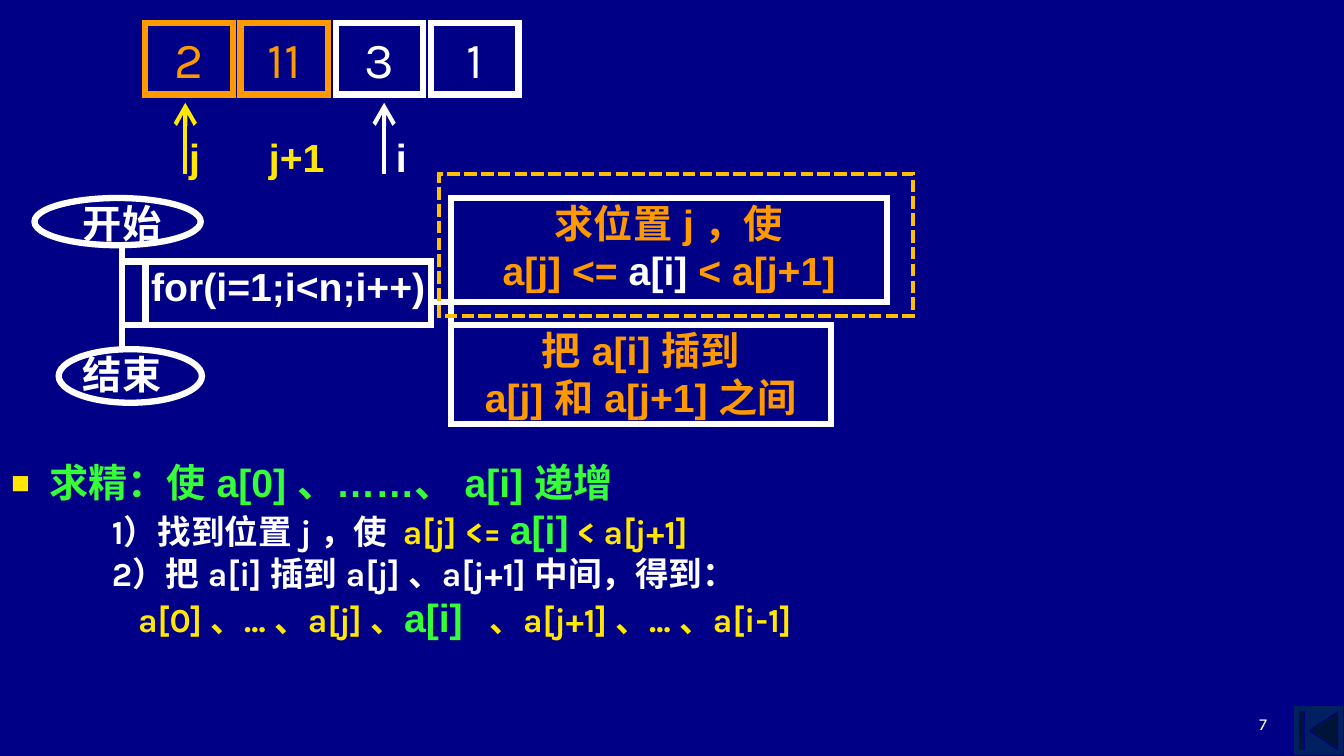
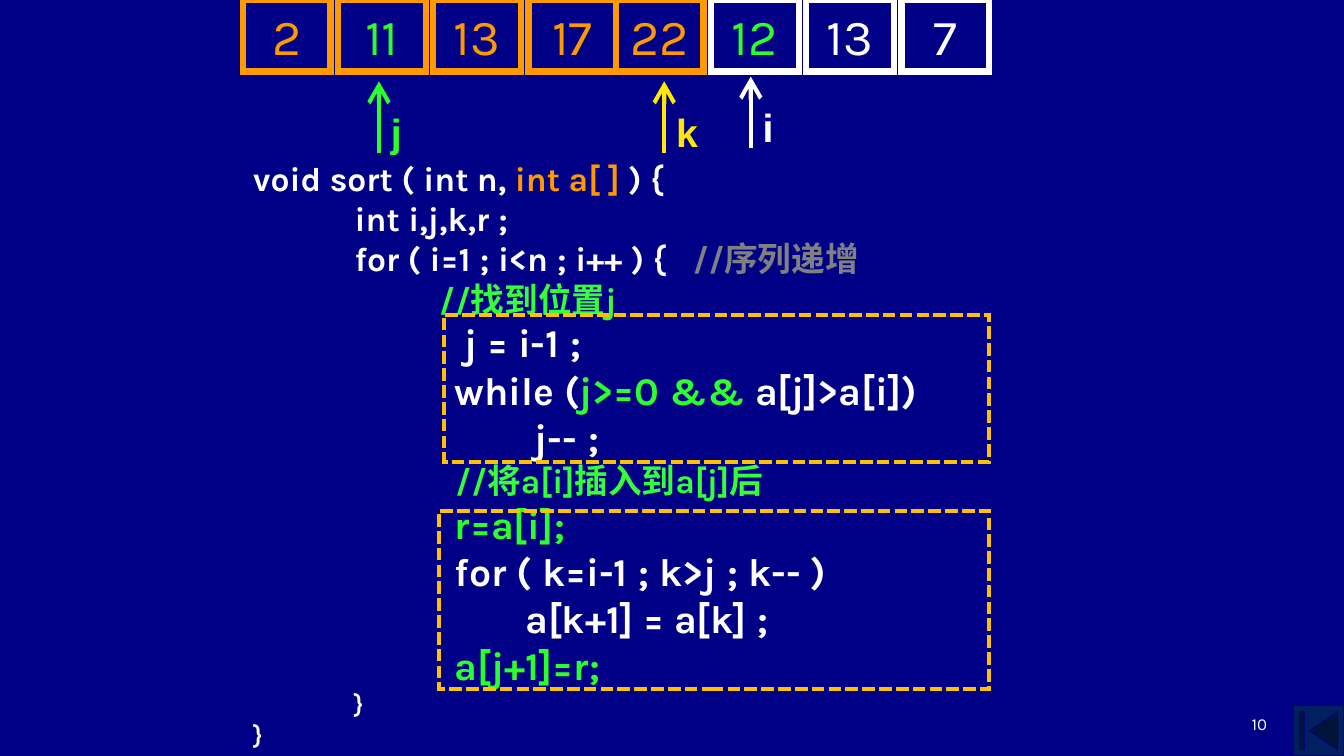
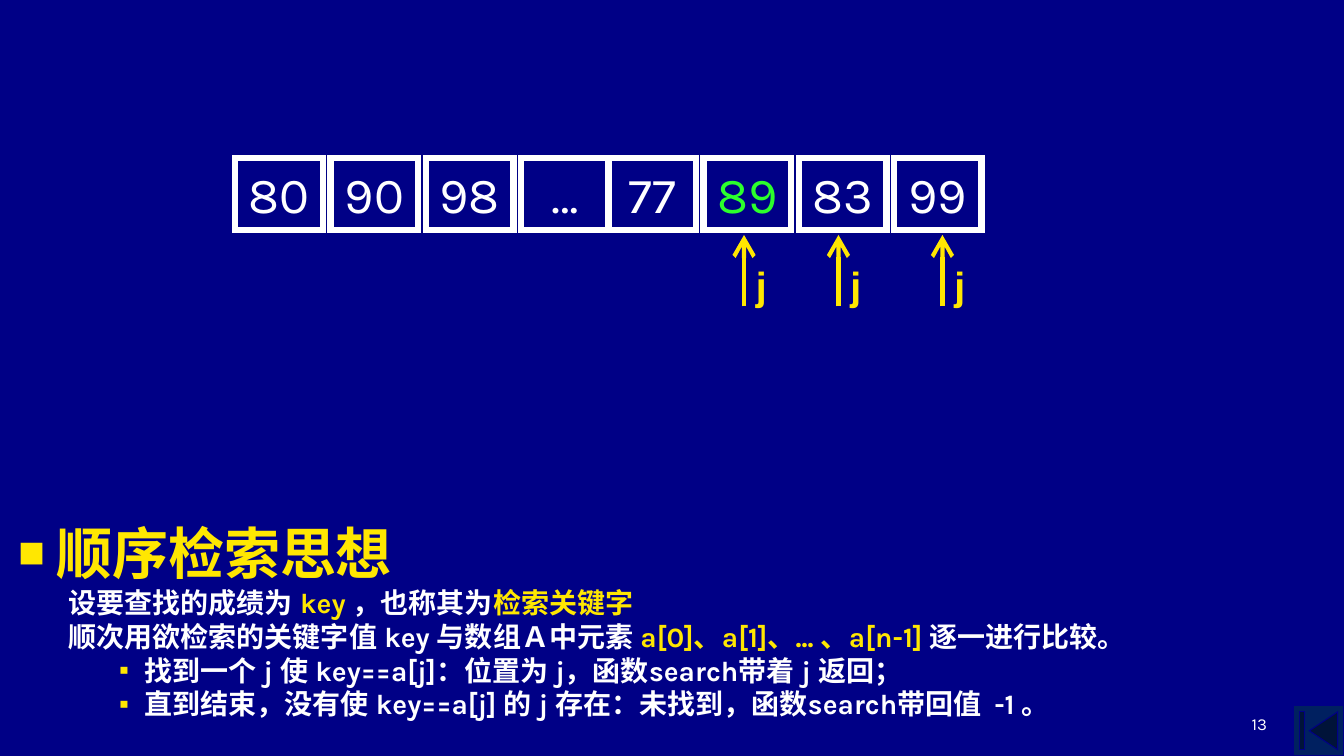
from lxml import etree
from pptx import Presentation
from pptx import util as u
from pptx.dml.color import RGBColor
from pptx.enum import dml, lang, shapes, text
from pptx.oxml import ns

NAVY, WHITE, YELLOW, ORANGE = "000086", "FFFFFF", "FFE701", "FF9900"
LIME, GREEN, GOLD, GREY = "37FF37", "2CFF2C", "FFC000", "808080"
HEAVY, LIGHT = 4.5, 3
CELL_W, CELL_H, STEP, GROUP = 2.21, 1.8, 2.4, 9.4
S = shapes.MSO_SHAPE
A = text.PP_ALIGN


def rgb(code):
    return RGBColor.from_string(code)


def sub(node, tag, **attrs):
    return etree.SubElement(node, ns.qn(tag), attrs)


def para(*runs, **fmt):
    return runs, fmt


def mark(par, left=0, hang=0, bullet=None, tint=YELLOW, scale=100):
    props = par._p.get_or_add_pPr()
    props.set("marL", str(u.Cm(left)))
    props.set("indent", str(-u.Cm(hang)))
    if bullet:
        sub(sub(props, "a:buClr"), "a:srgbClr", val=tint)
        sub(props, "a:buSzPct", val=str(scale * 1000))
        sub(props, "a:buFont", typeface="Arial")
        sub(props, "a:buChar", char=bullet)


def write(shape, *paras, size=28, font="Arial", color=WHITE, bold=True,
          align=A.LEFT, wrap=True, inset=(0.25, 0.13),
          anchor=text.MSO_ANCHOR.TOP):
    frame = shape.text_frame
    frame.word_wrap = wrap
    frame.vertical_anchor = anchor
    frame.margin_left = frame.margin_right = u.Cm(inset[0])
    frame.margin_top = frame.margin_bottom = u.Cm(inset[1])
    base = dict(size=size, font=font, color=color, bold=bold, track=0)
    for num, (runs, fmt) in enumerate(paras):
        par = frame.paragraphs[0] if num == 0 else frame.add_paragraph()
        look = {key: val for key, val in fmt.items() if key in base}
        mark(par, **{key: val for key, val in fmt.items() if key not in base})
        par.alignment = align
        for item in runs:
            words, own = (item, {}) if isinstance(item, str) else item
            style = {**base, **look, **own}
            run = par.add_run()
            run.text = words
            run.font.size = u.Pt(style["size"])
            run.font.bold = style["bold"]
            run.font.color.rgb = rgb(style["color"])
            run.font.name = style["font"]
            run.font.language_id = lang.MSO_LANGUAGE_ID.SIMPLIFIED_CHINESE
            sub(run.font._element, "a:ea", typeface=style["font"])
            if style["track"]:
                run.font._element.set("spc", str(style["track"] * 100))


def hue(words, color, **fmt):
    return words, dict(color=color, **fmt)


def gap(points):
    return " ", dict(track=points)


def label(slide, x, y, w, h, *paras, **fmt):
    box = slide.shapes.add_textbox(u.Cm(x), u.Cm(y), u.Cm(w), u.Cm(h))
    write(box, *paras, **fmt)


def stroke(pen, color, width, arrow=False):
    pen.color.rgb = rgb(color)
    pen.width = u.Pt(width)
    node = pen._get_or_add_ln()
    sub(node, "a:miter", lim="800000")
    if arrow:
        sub(node, "a:tailEnd", type="arrow", w="lg", len="lg")


def outline(slide, kind, x, y, w, h, color=WHITE, width=HEAVY, fill=None):
    shape = slide.shapes.add_shape(kind, u.Cm(x), u.Cm(y), u.Cm(w), u.Cm(h))
    shape.shadow.inherit = False
    if fill:
        shape.fill.solid()
        shape.fill.fore_color.rgb = rgb(fill)
    else:
        shape.fill.background()
    stroke(shape.line, color, width)
    return shape


def dashed(slide, x, y, w, h):
    frame = outline(slide, S.RECTANGLE, x, y, w, h, GOLD, LIGHT)
    frame.line.dash_style = dml.MSO_LINE.SQUARE_DOT


def line(slide, x1, y1, x2, y2, color=WHITE, width=HEAVY, arrow=False):
    link = slide.shapes.add_connector(
        shapes.MSO_CONNECTOR.STRAIGHT, u.Cm(x1), u.Cm(y1), u.Cm(x2), u.Cm(y2))
    stroke(link.line, color, width, arrow)
    sub(link._element.spPr, "a:effectLst")


def array(slide, x, y, cells):
    for num, (value, edge, ink) in enumerate(cells):
        group, spot = divmod(num, 4)
        left = x + group * GROUP + spot * STEP
        cell = outline(slide, S.RECTANGLE, left, y, CELL_W, CELL_H, edge)
        write(cell, para(value), size=36, font="Karla", color=ink, bold=False,
              align=A.CENTER, wrap=False, inset=(0.1, 0.13))


def pointer(slide, x, y, name, color, shift=0.3, drop=0.67):
    line(slide, x, y + 1.8, x, y, color, LIGHT, arrow=True)
    label(slide, x + shift, y + drop, 1.5, 1.1, para(name), color=color,
          wrap=False, inset=(0, 0))


def flow(slide, x, y):
    tight = dict(inset=(0.03, 0.03), wrap=False)
    for words, dx, dy, w, h in (("开始", 0, 0, 4.19, 1.19),
                                ("结束", 0.61, 3.81, 3.61, 1.35)):
        outline(slide, S.OVAL, x + dx, y + dy, w, h)
        label(slide, x + 1.19, y + dy, 2.2, 1.1, para(words), **tight)
    outline(slide, S.RECTANGLE, x + 2.21, y + 1.6, 0.61, 1.6)
    steps = (
        (2.79, 1.6, 7.21, 1.6, [para("for(i=1;i<n;i++)", color=WHITE)]),
        (10.49, 0, 11, 2.62, [
            para("求位置 j ，使"),
            para("a[j] <= ", hue("a[i]", WHITE), " < a[j+1]")]),
        (10.49, 3.2, 9.58, 2.49, [
            para("把 a[i] 插到"), para("a[j] 和 a[j+1] 之间")]),
    )
    for dx, dy, w, h, paras in steps:
        box = outline(slide, S.RECTANGLE, x + dx, y + dy, w, h)
        write(box, *paras, color=ORANGE, align=A.CENTER, **tight)
    line(slide, x + 10.01, y + 2.62, x + 10.49, y + 2.62)
    line(slide, x + 2.21, y + 1.22, x + 2.21, y + 3.81)
    line(slide, x + 10.49, y, x + 10.49, y + 5.61)


def start(deck, number):
    slide = deck.slides.add_slide(deck.slide_layouts[6])
    outline(slide, S.ACTION_BUTTON_BEGINNING, 32.6, 17.78, 1.27, 1.27,
            NAVY, 0.75, "002060")
    label(slide, 24.28, 17.35, 7.9, 1.27, para(str(number)), size=12,
          font="Karla", bold=False, align=A.RIGHT,
          anchor=text.MSO_ANCHOR.BOTTOM)
    return slide


def refine(deck):
    slide = start(deck, 7)
    key = hue("a[i]", LIME, size=28, font="Arial")
    small = dict(size=24, font="Karla")
    label(slide, 0.03, 11.43, 24.56, 7.39,
          para("求精：使 a[0] 、……、 a[i] 递增", color=LIME, left=0.96,
               hang=0.96, bullet="■", scale=80),
          para("1）找到位置 j ，使", gap(5), hue("a[j] <= ", YELLOW), key,
               hue(" < a[j+1]", YELLOW), left=2.54, **small),
          para("2）把 a[i] 插到 a[j] 、a[j+1] 中间，得到：", left=2.54,
               **small),
          para("a[0] 、... 、a[j] 、", key, gap(13), "、a[j+1] 、... 、a[i-1]",
               color=YELLOW, left=3.2, **small))
    flow(slide, 0.87, 4.99)
    array(slide, 3.66, 0.58, [("2", ORANGE, ORANGE), ("11", ORANGE, ORANGE),
                              ("3", WHITE, WHITE), ("1", WHITE, WHITE)])
    pointer(slide, 9.68, 2.59, "i", WHITE, drop=0.78)
    pointer(slide, 4.67, 2.59, "j", YELLOW, shift=0.1, drop=0.78)
    label(slide, 6.78, 3.37, 2.5, 1.1, para("j+1"), color=YELLOW,
          wrap=False, inset=(0, 0))
    dashed(slide, 11.07, 4.39, 11.94, 3.58)


def code(deck):
    slide = start(deck, 10)
    big = dict(size=28)
    label(slide, 6.13, 3.84, 21.46, 15.2,
          para("void sort ( int n, ", hue("int a[ ]", ORANGE), " ) {"),
          para("int i,j,k,r ;", left=2.56),
          para("for ( i=1 ; i<n ; i++ ) {", gap(13), hue("//序列递增", GREY),
               left=2.56),
          para("//找到位置j", color=LIME, left=4.69),
          para("j = i-1 ;", left=5.32, **big),
          para("while (", hue("j>=0 && ", GREEN), "a[j]>a[i])", left=5.08,
               **big),
          para("j-- ;", left=7.1, **big),
          para("//将a[i]插入到a[j]后", color=LIME, left=5.1),
          para("r=a[i];", color=GREEN, left=5.08, **big),
          para("for ( k=i-1 ; k>j ; k-- )", left=5.08, **big),
          para("a[k+1] = a[k] ;", left=6.86, **big),
          para("a[j+1]=r;", color=GREEN, left=5.08, **big),
          para("}", size=18, left=2.54),
          para("}", size=18),
          size=24, font="Karla")
    cells = [(v, ORANGE, ORANGE) for v in ("2", "11", "13", "17", "22")]
    cells += [(v, WHITE, WHITE) for v in ("12", "13", "7")]
    for spot in (1, 5):
        cells[spot] = (*cells[spot][:2], GREEN)
    array(slide, 6.12, 0, cells)
    pointer(slide, 18.92, 1.93, "i", WHITE)
    pointer(slide, 9.55, 2.05, "j", GREEN)
    pointer(slide, 16.74, 2.05, "k", YELLOW)
    dashed(slide, 11.2, 7.93, 13.73, 3.71)
    dashed(slide, 11.07, 12.88, 13.86, 4.49)


def search(deck):
    slide = start(deck, 13)
    item = dict(left=3.18, hang=0.64, bullet="▪")
    label(slide, 0.21, 12.94, 32.44, 5.61,
          para("顺序检索思想", size=40, color=YELLOW, left=0.96, hang=0.96,
               bullet="■", scale=80),
          para("设要查找的成绩为 ", hue("key ", YELLOW), "，也称其为",
               hue("检索关键字", YELLOW), left=1.27),
          para("顺次用欲检索的关键字值 key 与数组Ａ中元素 ",
               hue("a[0]、a[1]、... 、a[n-1] ", YELLOW), "逐一进行比较。",
               left=1.27),
          para("找到一个 j 使 key==a[j]：位置为 j，函数search带着 j 返回；",
               **item),
          para("直到结束，没有使 key==a[j] 的 j 存在：未找到，"
               "函数search带回值", gap(4), "-1 。", **item),
          size=20, font="Karla")
    values = ("80", "90", "98", "…", "77", "89", "83", "99")
    array(slide, 5.93, 3.99,
          [(v, WHITE, GREEN if v == "89" else WHITE) for v in values])
    for x in (18.75, 21.13, 23.75):
        pointer(slide, x, 5.92, "j", YELLOW)


def main():
    deck = Presentation()
    deck.slide_width, deck.slide_height = u.Cm(33.87), u.Cm(19.05)
    back = deck.slide_master.background.fill
    back.solid()
    back.fore_color.rgb = rgb(NAVY)
    for build in (refine, code, search):
        build(deck)
    deck.save("out.pptx")


if __name__ == "__main__":
    main()
